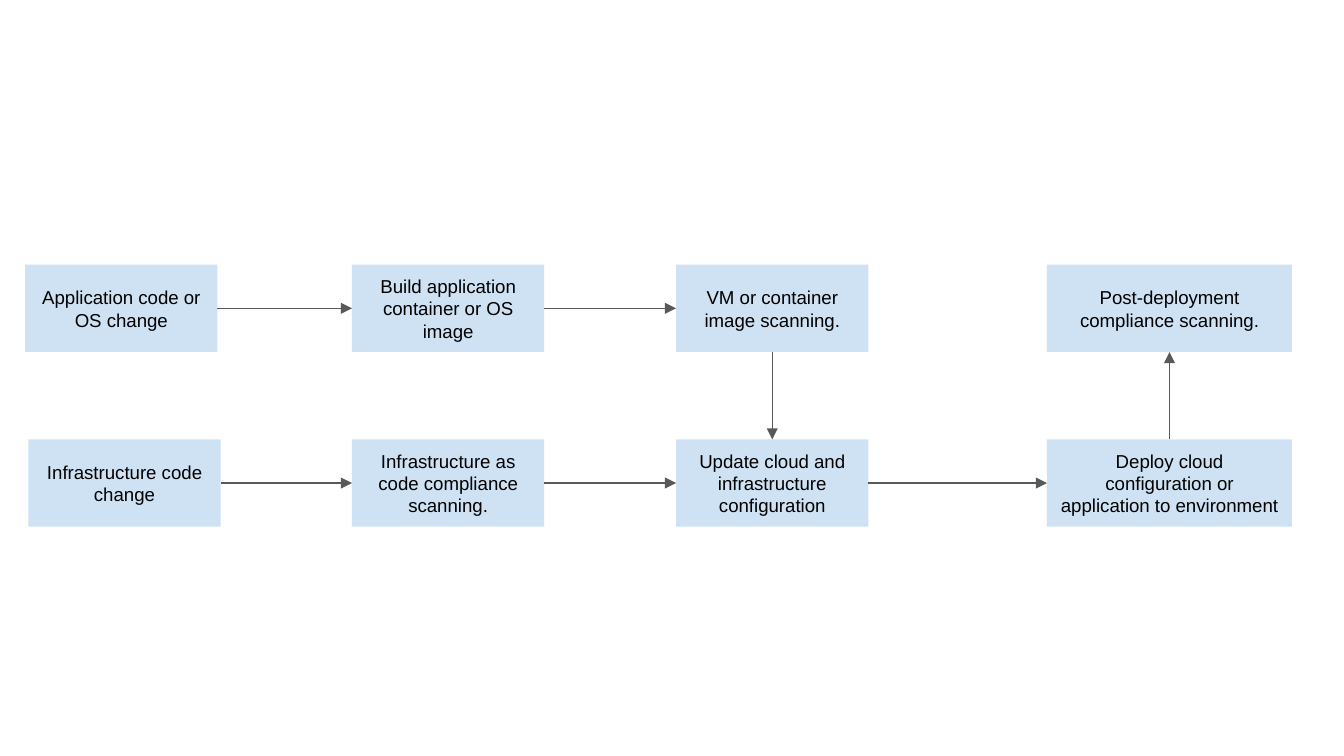
from lxml import etree
from pptx import Presentation
from pptx.dml.color import RGBColor
from pptx.enum.shapes import MSO_CONNECTOR, MSO_SHAPE
from pptx.enum.text import MSO_ANCHOR, PP_ALIGN
from pptx.oxml.ns import qn
from pptx.util import Pt

RECTANGLE = MSO_SHAPE.RECTANGLE
STRAIGHT = MSO_CONNECTOR.STRAIGHT
MIDDLE = MSO_ANCHOR.MIDDLE
CENTER = PP_ALIGN.CENTER
TOP, LEFT, BOTTOM, RIGHT = range(4)

STEP_FILL = "CFE2F3"
TEXT_COLOR = "000000"
ARROW_COLOR = "595959"
STEP_HEIGHT = 46.8
STEP_WIDTH = 103
DEPLOY_WIDTH = 131.25
INSET = 7.2
APP_ROW, INFRA_ROW = 141.8, 235.4
BUILD_LEFT, UPDATE_LEFT, DEPLOY_LEFT = 188.6, 362.2, 560.9

STEPS = {
    "app change": ("Application code or OS change", 13.5, APP_ROW, STEP_WIDTH),
    "build": ("Build application container or OS image", BUILD_LEFT, APP_ROW, STEP_WIDTH),
    "image scan": ("VM or container image scanning.", UPDATE_LEFT, APP_ROW, STEP_WIDTH),
    "post scan": ("Post-deployment compliance scanning.", DEPLOY_LEFT, APP_ROW, DEPLOY_WIDTH),
    "infra change": ("Infrastructure code change", 15.2, INFRA_ROW, STEP_WIDTH),
    "code scan": ("Infrastructure as code compliance scanning.", BUILD_LEFT, INFRA_ROW, STEP_WIDTH),
    "update": ("Update cloud and infrastructure configuration", UPDATE_LEFT, INFRA_ROW, STEP_WIDTH),
    "deploy": ("Deploy cloud configuration or application to environment", DEPLOY_LEFT, INFRA_ROW, DEPLOY_WIDTH),
}

FLOWS = [
    ("app change", RIGHT, "build", LEFT),
    ("build", RIGHT, "image scan", LEFT),
    ("image scan", BOTTOM, "update", TOP),
    ("infra change", RIGHT, "code scan", LEFT),
    ("code scan", RIGHT, "update", LEFT),
    ("update", RIGHT, "deploy", LEFT),
    ("deploy", TOP, "post scan", BOTTOM),
]


def color(hex_string):
    return RGBColor.from_string(hex_string)


def add_step(slide, text, left, top, width):
    step = slide.shapes.add_shape(RECTANGLE, Pt(left), Pt(top), Pt(width), Pt(STEP_HEIGHT))
    step.shadow.inherit = False
    step.fill.solid()
    step.fill.fore_color.rgb = color(STEP_FILL)
    step.line.fill.background()
    frame = step.text_frame
    frame.word_wrap = True
    frame.vertical_anchor = MIDDLE
    frame.margin_left = frame.margin_right = Pt(INSET)
    frame.margin_top = frame.margin_bottom = Pt(INSET)
    label = frame.paragraphs[0]
    label.text = text
    label.alignment = CENTER
    label.font.name = "Arial"
    label.font.size = Pt(10)
    label.font.color.rgb = color(TEXT_COLOR)
    return step


def add_arrow(slide, source, source_side, target, target_side):
    arrow = slide.shapes.add_connector(STRAIGHT, Pt(0), Pt(0), Pt(0), Pt(0))
    arrow.begin_connect(source, source_side)
    arrow.end_connect(target, target_side)
    arrow.line.width = Pt(0.75)
    arrow.line.color.rgb = color(ARROW_COLOR)
    properties = arrow.element.spPr
    etree.SubElement(properties.find(qn("a:ln")), qn("a:tailEnd"), type="triangle")
    etree.SubElement(properties, qn("a:effectLst"))


def main():
    deck = Presentation()
    deck.slide_width, deck.slide_height = Pt(720), Pt(405)
    slide = deck.slides.add_slide(deck.slide_layouts[6])
    steps = {key: add_step(slide, *details) for key, details in STEPS.items()}
    for source, source_side, target, target_side in FLOWS:
        add_arrow(slide, steps[source], source_side, steps[target], target_side)
    deck.save("out.pptx")


if __name__ == "__main__":
    main()
